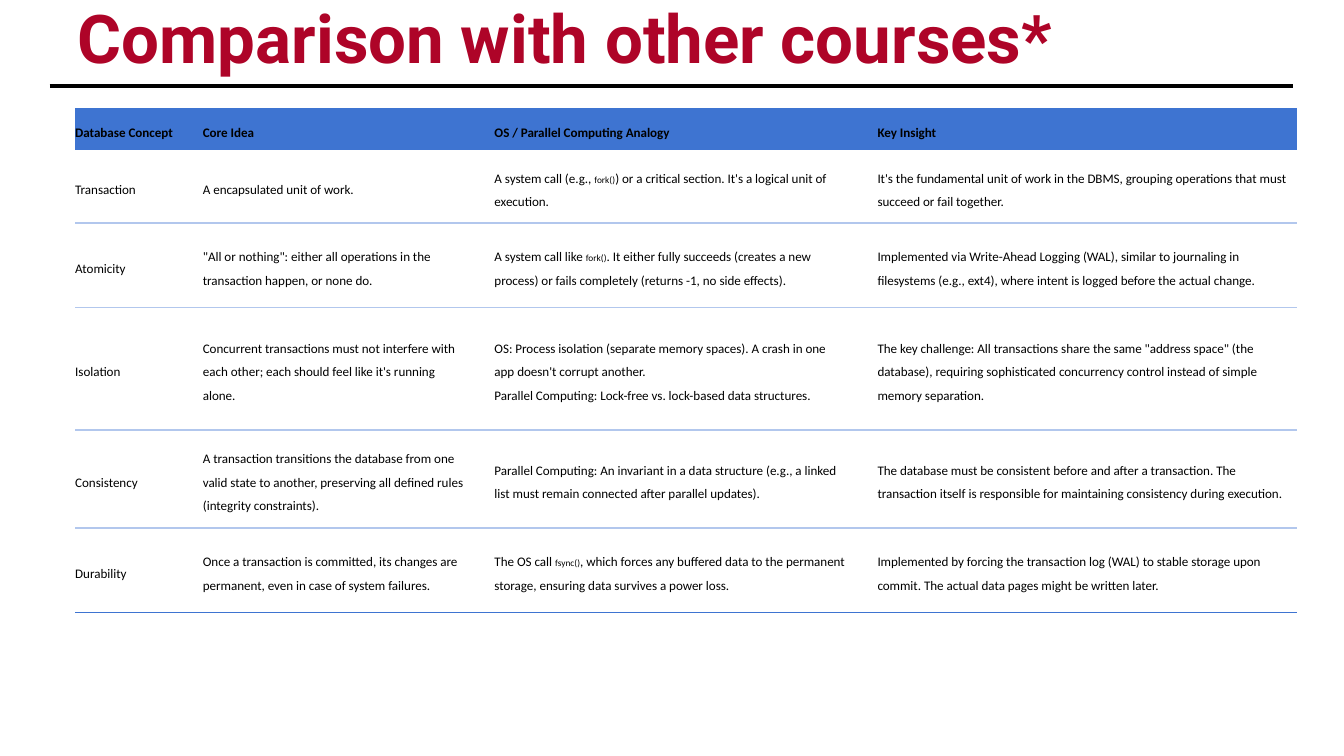
"""Build a slide comparing database concepts with ideas from other courses."""
from lxml import etree
from pptx import Presentation
from pptx.dml.color import RGBColor
from pptx.enum.shapes import MSO_CONNECTOR
from pptx.enum.text import MSO_ANCHOR, PP_ALIGN
from pptx.oxml.ns import qn
from pptx.util import Inches, Pt

STRAIGHT = MSO_CONNECTOR.STRAIGHT
MIDDLE, BOTTOM = MSO_ANCHOR.MIDDLE, MSO_ANCHOR.BOTTOM
LEFT = PP_ALIGN.LEFT

COLORS = {"title": "AE0428", "text": "000000", "header": "3E74D1",
          "body": "FFFFFF", "rule": "B2C7ED"}
TITLE = "Comparison with other courses*"
ROWS = [
    ("Database Concept", "Core Idea", "OS / Parallel Computing Analogy", "Key Insight"),
    ("Transaction",
     "A encapsulated unit of work.",
     "A system call (e.g., `fork()`) or a critical section. It's a logical unit of execution.",
     "It's the fundamental unit of work in the DBMS, grouping operations that must "
     "succeed or fail together."),
    ("Atomicity",
     '"All or nothing": either all operations in the transaction happen, or none do.',
     "A system call like `fork()`. It either fully succeeds (creates a new process) "
     "or fails completely (returns -1, no side effects).",
     "Implemented via Write-Ahead Logging (WAL), similar to journaling in filesystems "
     "(e.g., ext4), where intent is logged before the actual change."),
    ("Isolation",
     "Concurrent transactions must not interfere with each other; each should feel "
     "like it's running alone.",
     "OS: Process isolation (separate memory spaces). A crash in one app doesn't "
     "corrupt another.\nParallel Computing: Lock-free vs. lock-based data structures.",
     'The key challenge: All transactions share the same "address space" (the database), '
     "requiring sophisticated concurrency control instead of simple memory separation."),
    ("Consistency",
     "A transaction transitions the database from one valid state to another, "
     "preserving all defined rules (integrity constraints).",
     "Parallel Computing: An invariant in a data structure (e.g., a linked list must "
     "remain connected after parallel updates).",
     "The database must be consistent before and after a transaction. The transaction "
     "itself is responsible for maintaining consistency during execution."),
    ("Durability",
     "Once a transaction is committed, its changes are permanent, even in case of "
     "system failures.",
     "The OS call `fsync()`, which forces any buffered data to the permanent storage, "
     "ensuring data survives a power loss.",
     "Implemented by forcing the transaction log (WAL) to stable storage upon commit. "
     "The actual data pages might be written later."),
]
SLIDE_WIDTH = 10
SLIDE_HEIGHT = SLIDE_WIDTH * 9 / 16
COLUMN_WIDTHS = [0.84, 2.17, 2.85, 3.23]
ROW_HEIGHTS = [0.32, 0.54, 0.63, 0.91, 0.73, 0.63]
TABLE_LEFT, TABLE_TOP = 0.56, 0.8
PADDING_X, PADDING_Y = 0.11, 0.07


def color(name):
    return RGBColor.from_string(COLORS[name])


def set_font(font, name, size, color_name, bold):
    font.name, font.size, font.bold = name, Pt(size), bold
    font.color.rgb = color(color_name)


def add_title(page):
    title = page.shapes.title
    title.left, title.top = Inches(0.55), Inches(0.1)
    title.width, title.height = Inches(8.91), Inches(0.49)
    frame = title.text_frame
    frame.text = TITLE
    frame.vertical_anchor = BOTTOM
    frame.margin_left = frame.margin_right = Inches(0.03)
    frame.margin_top = frame.margin_bottom = Inches(0.03)
    paragraph = frame.paragraphs[0]
    paragraph.alignment, paragraph.line_spacing = LEFT, 0.7
    set_font(paragraph.font, "Roboto", 36, "title", True)


def add_rule(page):
    rule = page.shapes.add_connector(
        STRAIGHT, Inches(0.37), Inches(0.64), Inches(9.62), Inches(0.64))
    rule.line.color.rgb, rule.line.width = color("text"), Pt(2)
    etree.SubElement(rule._element.spPr, qn("a:effectLst"))


def set_borders(cell, top, bottom):
    properties = cell._tc.get_or_add_tcPr()
    for side, name in (("L", None), ("R", None), ("T", top), ("B", bottom)):
        line = etree.SubElement(properties, qn(f"a:ln{side}"), w=str(Pt(0.75)))
        if name:
            fill = etree.SubElement(line, qn("a:solidFill"))
            etree.SubElement(fill, qn("a:srgbClr"), val=COLORS[name])
        else:
            etree.SubElement(line, qn("a:noFill"))


def write_cell(cell, text, bold):
    paragraph = cell.text_frame.paragraphs[0]
    paragraph.line_spacing = Pt(12.5)
    set_font(paragraph.font, "Calibri", 7, "text", bold)
    for number, line in enumerate(text.split("\n")):
        if number:
            paragraph.add_line_break()
        for index, part in enumerate(line.split("`")):
            span = paragraph.add_run()
            span.text = part
            if index % 2:
                span.font.size = Pt(5)


def add_comparison(page):
    table = page.shapes.add_table(
        len(ROWS), len(COLUMN_WIDTHS), Inches(TABLE_LEFT), Inches(TABLE_TOP),
        Inches(sum(COLUMN_WIDTHS)), Inches(sum(ROW_HEIGHTS))).table
    table.first_row = table.horz_banding = False
    for column, width in zip(table.columns, COLUMN_WIDTHS):
        column.width = Inches(width)
    last_row, last_column = len(ROWS) - 1, len(COLUMN_WIDTHS) - 1
    for r, texts in enumerate(ROWS):
        table.rows[r].height = Inches(ROW_HEIGHTS[r])
        header = r == 0
        for c, text in enumerate(texts):
            cell = table.cell(r, c)
            cell.vertical_anchor = MIDDLE
            cell.margin_left = Inches(PADDING_X if c else 0)
            cell.margin_right = Inches(0 if c == last_column and not header else PADDING_X)
            cell.margin_top = cell.margin_bottom = Inches(PADDING_Y)
            set_borders(cell, "rule" if r > 1 else None,
                        None if header else "header" if r == last_row else "rule")
            cell.fill.solid()
            cell.fill.fore_color.rgb = color("header" if header else "body")
            write_cell(cell, text, header)


def main():
    deck = Presentation()
    deck.slide_width, deck.slide_height = Inches(SLIDE_WIDTH), Inches(SLIDE_HEIGHT)
    page = deck.slides.add_slide(deck.slide_layouts[5])
    add_rule(page)
    add_title(page)
    add_comparison(page)
    deck.save("out.pptx")


if __name__ == "__main__":
    main()
